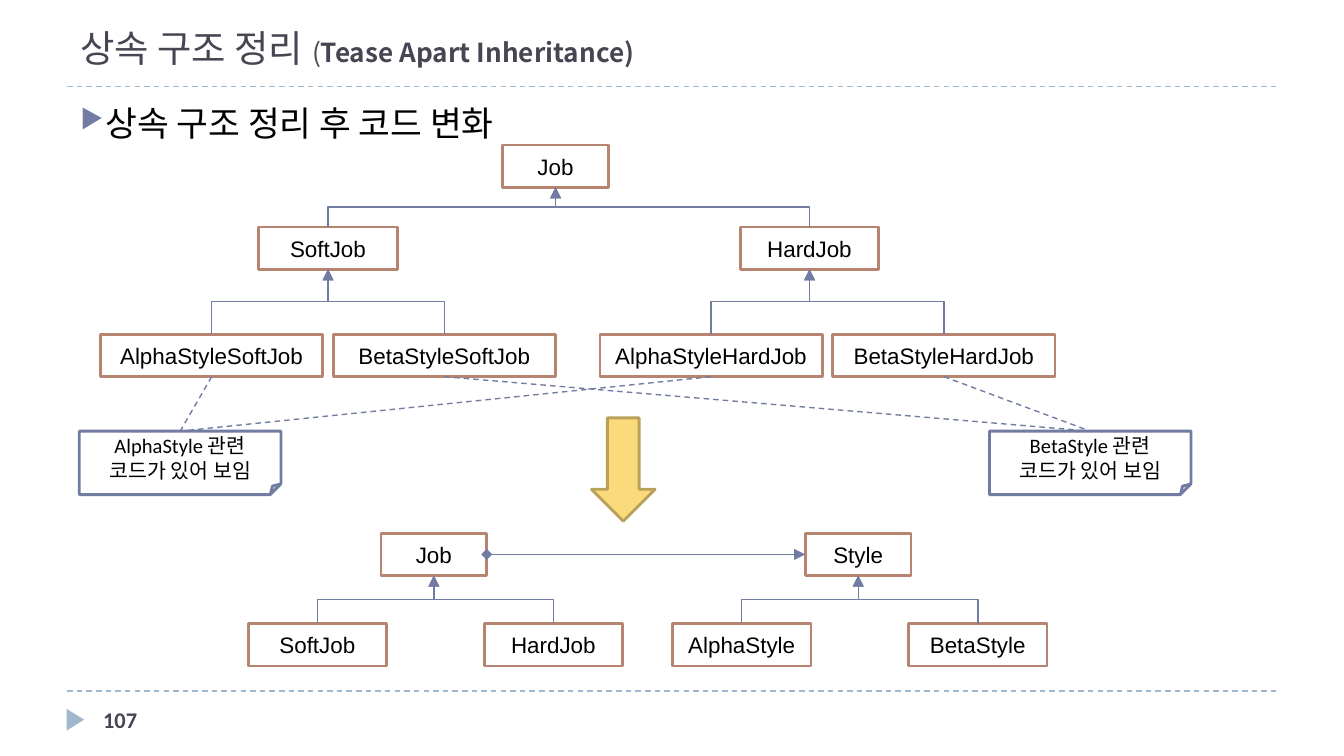
"""Build the slide on teasing apart an inheritance hierarchy."""
from lxml import etree
from pptx import Presentation
from pptx.dml.color import RGBColor
from pptx.enum.dml import MSO_LINE
from pptx.enum.shapes import MSO_CONNECTOR, MSO_SHAPE
from pptx.enum.text import MSO_ANCHOR, PP_ALIGN
from pptx.oxml.ns import qn
from pptx.util import Cm, Pt

STRAIGHT, ELBOW = MSO_CONNECTOR.STRAIGHT, MSO_CONNECTOR.ELBOW
RECTANGLE, NOTE = MSO_SHAPE.RECTANGLE, MSO_SHAPE.FOLDED_CORNER
TRIANGLE, DOWN_ARROW = MSO_SHAPE.ISOSCELES_TRIANGLE, MSO_SHAPE.DOWN_ARROW
DASH = MSO_LINE.DASH
TOP_ANCHOR, MIDDLE, BOTTOM_ANCHOR = MSO_ANCHOR.TOP, MSO_ANCHOR.MIDDLE, MSO_ANCHOR.BOTTOM
CENTER = PP_ALIGN.CENTER
TOP, LEFT, BOTTOM, RIGHT = range(4)

KOREAN_FONT = "Noto Sans CJK KR"
COLORS = {
    "white": "FFFFFF",
    "black": "000000",
    "heading": "464653",
    "rule": "9FB8CD",
    "class": "B88472",
    "link": "727CA3",
    "arrow": "FADA7A",
    "arrow_edge": "B9A15A",
}


def color(name):
    """Return the named palette colour."""
    return RGBColor.from_string(COLORS[name])


def add_run(paragraph, text, size, font, color_name, bold=False):
    """Append one formatted run."""
    run = paragraph.add_run()
    run.text = text
    run.font.size = Pt(size)
    run.font.name = font
    run.font.bold = bold
    run.font.color.rgb = color(color_name)
    east_asian = etree.Element(qn("a:ea"), typeface=KOREAN_FONT)
    run.font._element.find(qn("a:latin")).addnext(east_asian)


def add_text_box(slide, left, top, width, height, anchor):
    """Add a wrapping text box and return its first paragraph."""
    frame = slide.shapes.add_textbox(Cm(left), Cm(top), Cm(width), Cm(height)).text_frame
    frame.word_wrap = True
    frame.vertical_anchor = anchor
    return frame.paragraphs[0]


def add_bullet(paragraph):
    """Give the paragraph a hanging triangle bullet."""
    properties = paragraph._p.get_or_add_pPr()
    properties.set("marL", str(Cm(0.48)))
    properties.set("indent", str(-Cm(0.48)))
    bullet_color = etree.SubElement(properties, qn("a:buClr"))
    etree.SubElement(bullet_color, qn("a:srgbClr"), val=COLORS["link"])
    etree.SubElement(properties, qn("a:buSzPct"), val="76000")
    etree.SubElement(properties, qn("a:buChar"), char="▶")


def add_shape(slide, kind, left, top, width, height, fill, line=None):
    """Add a flat preset shape."""
    shape = slide.shapes.add_shape(kind, Cm(left), Cm(top), Cm(width), Cm(height))
    shape.shadow.inherit = False
    shape.fill.solid()
    shape.fill.fore_color.rgb = color(fill)
    if line:
        shape.line.color.rgb = color(line)
        shape.line.width = Pt(1.5)
    else:
        shape.line.fill.background()
    return shape


def add_label(shape, text, size, font):
    """Write centred black text in a shape."""
    frame = shape.text_frame
    frame.word_wrap = True
    frame.vertical_anchor = MIDDLE
    frame.paragraphs[0].alignment = CENTER
    add_run(frame.paragraphs[0], text, size, font, "black")


def add_class(slide, name, center, top, width=2.62):
    """Add a class box centred on a horizontal position."""
    box = add_shape(slide, RECTANGLE, center - width / 2, top, width, 0.8, "white", "class")
    add_label(box, name, 12, "Arial")
    return box


def add_note(slide, text, left):
    """Add a folded note about duplicated code."""
    note = add_shape(slide, NOTE, left, 8.15, 3.81, 1.2, "white", "link")
    add_label(note, text, 11, "Calibri")
    return note


def style_line(connector, color_name, dash=None, head=None, tail=None):
    """Set colour, dash and arrowheads of a connector."""
    line = connector.line
    line.color.rgb = color(color_name)
    line.width = Pt(0.75)
    if dash:
        line.dash_style = dash
    for tag, end in (("a:headEnd", head), ("a:tailEnd", tail)):
        if end:
            etree.SubElement(line._get_or_add_ln(), qn(tag), type=end)
    etree.SubElement(connector._element.spPr, qn("a:effectLst"))


def add_rule(slide, top):
    """Add a dashed rule across the slide."""
    rule = slide.shapes.add_connector(STRAIGHT, Cm(1.27), Cm(top), Cm(24.13), Cm(top))
    style_line(rule, "rule", DASH)


def join(slide, kind, start, start_side, end, end_side):
    """Connect the sides of two shapes."""
    connector = slide.shapes.add_connector(kind, 0, 0, 0, 0)
    connector.begin_connect(start, start_side)
    connector.end_connect(end, end_side)
    return connector


def add_inheritance(slide, child, parent):
    """Draw an elbow from the top of a child up to its parent."""
    connector = join(slide, ELBOW, child, TOP, parent, BOTTOM)
    start_x = child.left + child.width // 2
    end_x = parent.left + parent.width // 2
    end_y = parent.top + parent.height
    rise, run = child.top - end_y, abs(end_x - start_x)
    connector.left = (start_x + end_x - rise) // 2
    connector.top = (child.top + end_y - run) // 2
    connector.width, connector.height = rise, run
    rightward = start_x < end_x
    transform = connector._element.spPr.find(qn("a:xfrm"))
    transform.set("rot", str((90 if rightward else 270) * 60000))
    transform.set("flipH", "1" if rightward else "0")
    transform.set("flipV", "1")
    style_line(connector, "link", tail="triangle")


def add_family(slide, parent, members, top, width=2.62):
    """Add the subclasses of a parent with their inheritance lines."""
    children = [add_class(slide, name, center, top, width) for name, center in members]
    for child in children:
        add_inheritance(slide, child, parent)
    return children


def add_frame(slide):
    """Add the rules, page number, title and heading."""
    for top in (13.06, 1.63):
        add_rule(slide, top)
    marker = add_shape(slide, TRIANGLE, 1.22, 13.44, 0.41, 0.33, "rule")
    marker.rotation = 90
    number = add_text_box(slide, 1.7, 13.23, 5.51, 0.76, MIDDLE)
    add_run(number, "107", 12, "Calibri", "heading", True)
    heading = add_text_box(slide, 1.27, 1.8, 22.86, 0.94, TOP_ANCHOR)
    add_bullet(heading)
    add_run(heading, "상속 구조 정리 후 코드 변화", 18.5, "Courier New", "black")
    title = add_text_box(slide, 1.27, 0.33, 22.86, 1.12, BOTTOM_ANCHOR)
    add_run(title, "상속 구조 정리 ", 20, KOREAN_FONT, "heading")
    add_run(title, "(", 14, KOREAN_FONT, "heading")
    add_run(title, "Tease Apart Inheritance)", 14, KOREAN_FONT, "heading", True)


def add_tangled_hierarchy(slide):
    """Add the hierarchy that mixes jobs and styles."""
    job = add_class(slide, "Job", 10.5, 2.74, 2)
    soft, hard = add_family(slide, job, [("SoftJob", 6.2), ("HardJob", 15.3)], 4.29)
    alpha_soft, beta_soft = add_family(
        slide, soft, [("AlphaStyleSoftJob", 4), ("BetaStyleSoftJob", 8.4)], 6.32, 4.2)
    alpha_hard, beta_hard = add_family(
        slide, hard, [("AlphaStyleHardJob", 13.44), ("BetaStyleHardJob", 17.84)], 6.32, 4.2)
    alpha_note = add_note(slide, "AlphaStyle 관련 코드가 있어 보임", 1.5)
    beta_note = add_note(slide, "BetaStyle 관련 코드가 있어 보임", 18.7)
    for box, note in ((alpha_soft, alpha_note), (alpha_hard, alpha_note),
                      (beta_soft, beta_note), (beta_hard, beta_note)):
        style_line(join(slide, STRAIGHT, box, BOTTOM, note, TOP), "link", DASH)


def add_separated_hierarchies(slide):
    """Add the job and style hierarchies joined by aggregation."""
    job = add_class(slide, "Job", 8.2, 10.08, 2)
    add_family(slide, job, [("SoftJob", 6), ("HardJob", 10.46)], 11.79)
    style = add_class(slide, "Style", 16.22, 10.08, 2)
    add_family(slide, style, [("AlphaStyle", 14.02), ("BetaStyle", 18.48)], 11.79)
    aggregation = join(slide, STRAIGHT, style, LEFT, job, RIGHT)
    style_line(aggregation, "link", head="triangle", tail="diamond")


def main():
    """Build and save the presentation."""
    presentation = Presentation()
    presentation.slide_width, presentation.slide_height = Cm(25.4), Cm(14.29)
    slide = presentation.slides.add_slide(presentation.slide_layouts[6])
    add_frame(slide)
    add_tangled_hierarchy(slide)
    add_separated_hierarchies(slide)
    add_shape(slide, DOWN_ARROW, 11.18, 7.9, 1.2, 1.95, "arrow", "arrow_edge")
    presentation.save("out.pptx")


if __name__ == "__main__":
    main()
